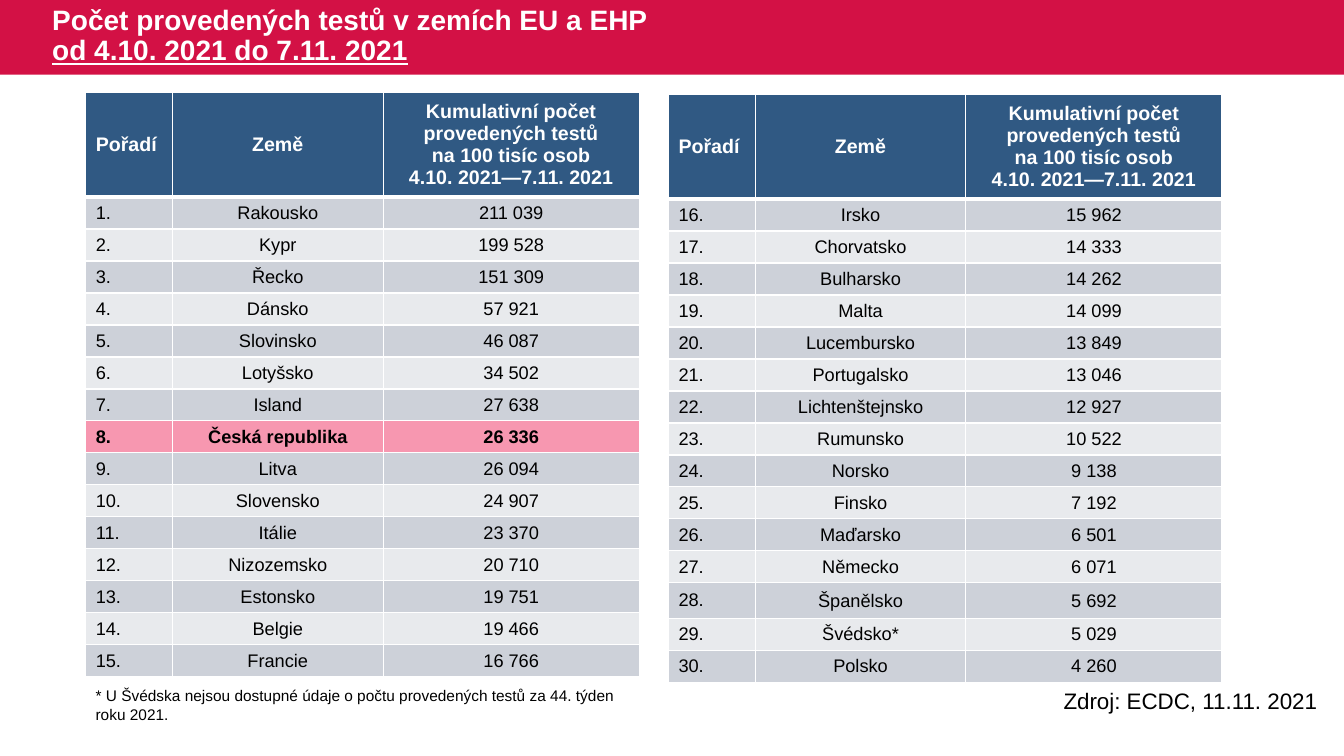
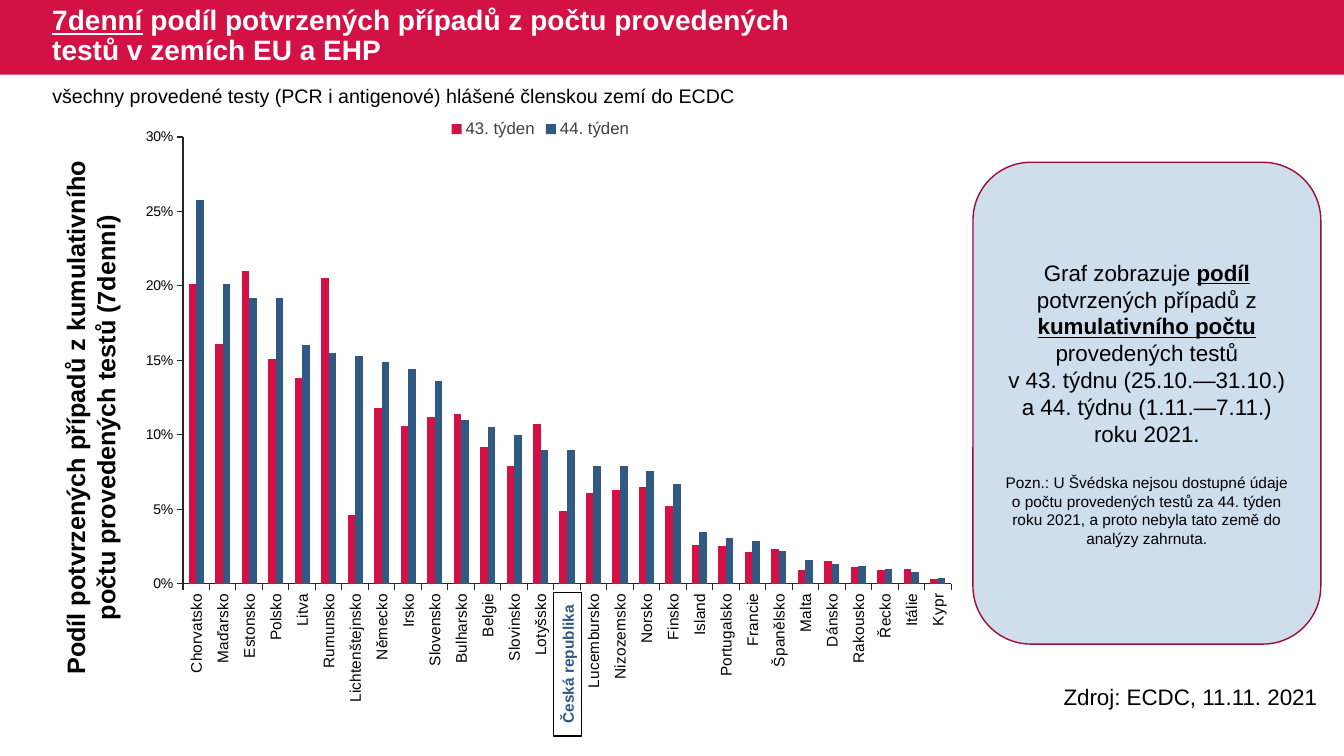
from dataclasses import dataclass

from lxml import etree
from pptx import Presentation
from pptx.chart.data import CategoryChartData
from pptx.dml.color import RGBColor
from pptx.enum.chart import XL_CHART_TYPE, XL_LEGEND_POSITION, XL_TICK_MARK
from pptx.enum.shapes import MSO_SHAPE
from pptx.enum.text import MSO_ANCHOR, PP_ALIGN
from pptx.oxml import parse_xml
from pptx.oxml.ns import nsdecls, qn
from pptx.util import Inches, Pt

FONT = "Arial"
RED = RGBColor(0xD3, 0x11, 0x45)
DARK_RED = RGBColor(0x9C, 0x0D, 0x33)
BLUE = RGBColor(0x30, 0x59, 0x83)
PALE_BLUE = RGBColor(0xCF, 0xDE, 0xED)
PINK = RGBColor(0xF7, 0x97, 0xB0)
GREY = RGBColor(0xCD, 0xD1, 0xD9)
LIGHT_GREY = RGBColor(0xE8, 0xEA, 0xED)
AXIS_GREY = RGBColor(0x26, 0x26, 0x26)
LEGEND_GREY = RGBColor(0x40, 0x40, 0x40)
BLACK = RGBColor(0, 0, 0)
WHITE = RGBColor(0xFF, 0xFF, 0xFF)

HOME_COUNTRY = "Česká republika"
SOURCE = "Zdroj: ECDC, 11.11. 2021"
HEADER_HEIGHT = 0.97
ROW_HEIGHT = 0.3
TABLE_COLUMNS = (0.86, 2.09, 2.54)


@dataclass
class Area:
    left: float
    top: float
    width: float
    height: float

    def lengths(self) -> tuple:
        return tuple(Inches(side) for side in (self.left, self.top, self.width, self.height))


@dataclass
class Span:
    text: str
    size: float = 16
    color: RGBColor = BLACK
    bold: bool = False
    underline: bool = False
    break_before: bool = False


@dataclass
class Ranking:
    area: Area
    first_rank: int
    tests: dict[str, int]
    tall_row: str = ""


RANKINGS = (
    Ranking(Area(0.85, 0.92, 5.49, 5.47), 1, {
        "Rakousko": 211039, "Kypr": 199528, "Řecko": 151309, "Dánsko": 57921,
        "Slovinsko": 46087, "Lotyšsko": 34502, "Island": 27638, HOME_COUNTRY: 26336,
        "Litva": 26094, "Slovensko": 24907, "Itálie": 23370, "Nizozemsko": 20710,
        "Estonsko": 19751, "Belgie": 19466, "Francie": 16766,
    }),
    Ranking(Area(6.63, 0.94, 5.49, 5.52), 16, {
        "Irsko": 15962, "Chorvatsko": 14333, "Bulharsko": 14262, "Malta": 14099,
        "Lucembursko": 13849, "Portugalsko": 13046, "Lichtenštejnsko": 12927,
        "Rumunsko": 10522, "Norsko": 9138, "Finsko": 7192, "Maďarsko": 6501,
        "Německo": 6071, "Španělsko": 5692, "Švédsko*": 5029, "Polsko": 4260,
    }, "Španělsko"),
)

WEEKLY_SHARES = {
    "Chorvatsko": (0.201, 0.258), "Maďarsko": (0.161, 0.201), "Estonsko": (0.21, 0.192),
    "Polsko": (0.151, 0.192), "Litva": (0.138, 0.16), "Rumunsko": (0.205, 0.155),
    "Lichtenštejnsko": (0.046, 0.153), "Německo": (0.118, 0.149), "Irsko": (0.106, 0.144),
    "Slovensko": (0.112, 0.136), "Bulharsko": (0.114, 0.11), "Belgie": (0.092, 0.105),
    "Slovinsko": (0.079, 0.1), "Lotyšsko": (0.107, 0.09), HOME_COUNTRY: (0.049, 0.09),
    "Lucembursko": (0.061, 0.079), "Nizozemsko": (0.063, 0.079), "Norsko": (0.065, 0.076),
    "Finsko": (0.052, 0.067), "Island": (0.026, 0.035), "Portugalsko": (0.025, 0.031),
    "Francie": (0.021, 0.029), "Španělsko": (0.023, 0.022), "Malta": (0.009, 0.016),
    "Dánsko": (0.015, 0.013), "Rakousko": (0.011, 0.012), "Řecko": (0.009, 0.01),
    "Itálie": (0.01, 0.008), "Kypr": (0.003, 0.004),
}


def style_font(font, size: float, color: RGBColor) -> None:
    font.name = FONT
    font.size = Pt(size)
    font.color.rgb = color


def write(frame, paragraphs: list[list[Span]], align=PP_ALIGN.LEFT) -> None:
    for index, spans in enumerate(paragraphs):
        para = frame.paragraphs[0] if index == 0 else frame.add_paragraph()
        para.alignment = align
        for span in spans:
            if span.break_before:
                para.add_line_break()
            run = para.add_run()
            run.text = span.text
            style_font(run.font, span.size, span.color)
            run.font.bold = span.bold
            run.font.underline = span.underline


def add_text(page, area: Area, spans: list[Span], align=PP_ALIGN.LEFT):
    box = page.shapes.add_textbox(*area.lengths())
    box.text_frame.word_wrap = True
    write(box.text_frame, [spans], align)
    return box


def add_box(page, shape: MSO_SHAPE, area: Area, fill: RGBColor, line: RGBColor | None = None):
    box = page.shapes.add_shape(shape, *area.lengths())
    box.shadow.inherit = False
    box.fill.solid()
    box.fill.fore_color.rgb = fill
    if line is None:
        box.line.fill.background()
    else:
        box.line.color.rgb = line
        box.line.width = Pt(1)
    box.text_frame.word_wrap = True
    box.text_frame.vertical_anchor = MSO_ANCHOR.MIDDLE
    return box


def add_page(deck, title: list[Span], source_top: float):
    page = deck.slides.add_slide(deck.slide_layouts[6])
    add_box(page, MSO_SHAPE.RECTANGLE, Area(0, 0, 13.33, 0.74), RED)
    heading = add_text(page, Area(0.42, 0, 8.16, 0.73), title)
    heading.text_frame.vertical_anchor = MSO_ANCHOR.MIDDLE
    heading.text_frame.paragraphs[0].line_spacing = 0.9
    add_text(page, Area(10.45, source_top, 2.8, 0.37), [Span(SOURCE)])
    return page


def title_span(text: str, underline: bool = False, break_before: bool = False) -> Span:
    return Span(text, 20, WHITE, True, underline, break_before)


def set_borders(cell, top: float, bottom: float) -> None:
    properties = cell._tc.get_or_add_tcPr()
    for side, width in (("L", 1), ("R", 1), ("T", top), ("B", bottom)):
        properties.append(parse_xml(
            f'<a:ln{side} {nsdecls("a")} w="{Pt(width)}"><a:solidFill>'
            f'<a:srgbClr val="{WHITE}"/></a:solidFill></a:ln{side}>'))


def fill_cell(cell, lines: list[str], fill: RGBColor, size: float, color: RGBColor,
              bold: bool, centered: bool) -> None:
    cell.fill.solid()
    cell.fill.fore_color.rgb = fill
    cell.vertical_anchor = MSO_ANCHOR.MIDDLE
    write(cell.text_frame, [[Span(line, size, color, bold)] for line in lines],
          PP_ALIGN.CENTER if centered else PP_ALIGN.LEFT)


def add_ranking(page, ranking: Ranking) -> None:
    row_count = len(ranking.tests) + 1
    table = page.shapes.add_table(row_count, 3, *ranking.area.lengths()).table
    for column, width in zip(table.columns, TABLE_COLUMNS):
        column.width = Inches(width)
    table.rows[0].height = Inches(HEADER_HEIGHT)
    headers = (["Pořadí"], ["Země"], ["Kumulativní počet provedených testů",
                                      "na 100 tisíc osob", "4.10. 2021—7.11. 2021"])
    for column, lines in enumerate(headers):
        cell = table.cell(0, column)
        set_borders(cell, 1, 3)
        fill_cell(cell, lines, BLUE, 14, WHITE, True, column > 0)
    for row, (country, tests) in enumerate(ranking.tests.items(), 1):
        table.rows[row].height = Inches(0.35 if country == ranking.tall_row else ROW_HEIGHT)
        home = country == HOME_COUNTRY
        fill = PINK if home else GREY if row % 2 else LIGHT_GREY
        rank = f"{ranking.first_rank + row - 1}."
        for column, text in enumerate((rank, country, f"{tests:,}".replace(",", " "))):
            cell = table.cell(row, column)
            set_borders(cell, 3 if row == 1 else 1, 1)
            if column:
                cell.margin_left = cell.margin_right = cell.margin_top = Inches(0.01)
                cell.margin_bottom = 0
            fill_cell(cell, [text], fill, 13, BLACK, home, column > 0)


def style_axis(axis, size: float) -> None:
    axis.has_major_gridlines = False
    axis.major_tick_mark = XL_TICK_MARK.OUTSIDE
    axis.minor_tick_mark = XL_TICK_MARK.NONE
    axis.format.line.color.rgb = AXIS_GREY
    axis.format.line.width = Pt(0.75)
    style_font(axis.tick_labels.font, size, BLACK)


def place_plot(chart, x: float, y: float, width: float, height: float) -> None:
    plot_area = chart._chartSpace.chart.plotArea
    for old in plot_area.findall(qn("c:layout")):
        plot_area.remove(old)
    layout = etree.Element(qn("c:layout"))
    manual = etree.SubElement(layout, qn("c:manualLayout"))
    settings = (("layoutTarget", "inner"), ("xMode", "edge"), ("yMode", "edge"),
                ("x", x), ("y", y), ("w", width), ("h", height))
    for name, value in settings:
        etree.SubElement(manual, qn(f"c:{name}")).set("val", str(value))
    plot_area.insert(0, layout)


def add_share_chart(page) -> None:
    data = CategoryChartData(number_format="0%")
    data.categories = list(WEEKLY_SHARES)
    for name, values in zip(("43. týden", "44. týden"), zip(*WEEKLY_SHARES.values())):
        data.add_series(name, values)
    chart = page.shapes.add_chart(XL_CHART_TYPE.COLUMN_CLUSTERED,
                                  *Area(1.16, 1.08, 8.4, 5.95).lengths(), data).chart
    style_font(chart.font, 10, LEGEND_GREY)
    chart.has_title = False
    chart.has_legend = True
    chart.legend.position = XL_LEGEND_POSITION.TOP
    chart.legend.include_in_layout = False
    style_font(chart.legend.font, 12, LEGEND_GREY)
    plot = chart.plots[0]
    plot.gap_width = 150
    plot.overlap = 0
    plot.vary_by_categories = False
    for series, color in zip(plot.series, (RED, BLUE)):
        series.format.fill.solid()
        series.format.fill.fore_color.rgb = color
        series.invert_if_negative = False
    style_axis(chart.category_axis, 11)
    body = chart.category_axis._element.find(qn("c:txPr")).find(qn("a:bodyPr"))
    body.set("rot", "-5400000")
    body.set("vert", "horz")
    style_axis(chart.value_axis, 10)
    chart.value_axis.minimum_scale = 0
    chart.value_axis.maximum_scale = 0.3
    chart.value_axis.major_unit = 0.05
    chart.value_axis.tick_labels.number_format = "0%"
    chart.value_axis.tick_labels.number_format_is_linked = False
    place_plot(chart, 0.078, 0.047, 0.907, 0.745)


def build_ranking_page(deck) -> None:
    page = add_page(deck, [title_span("Počet provedených testů v zemích EU a EHP"),
                           title_span("od 4.10. 2021 do 7.11. 2021", True, True)], 6.77)
    for ranking in RANKINGS:
        add_ranking(page, ranking)
    add_text(page, Area(0.85, 6.76, 5.48, 0.47), [Span(
        "* U Švédska nejsou dostupné údaje o počtu provedených testů "
        "za 44. týden roku 2021.", 11)])


def build_share_page(deck) -> None:
    page = add_page(deck, [title_span("7denní", True), title_span(
        " podíl potvrzených případů z počtu provedených testů v zemích EU a EHP")], 6.73)
    axis_title = add_text(page, Area(-1.81, 3.79, 5.42, 0.71), [Span(
        "Podíl potvrzených případů z kumulativního počtu provedených testů (7denní)",
        18, bold=True)], PP_ALIGN.CENTER)
    axis_title.rotation = 270
    add_share_chart(page)

    panel = add_box(page, MSO_SHAPE.ROUNDED_RECTANGLE, Area(9.65, 1.61, 3.45, 4.78),
                    PALE_BLUE, DARK_RED)
    write(panel.text_frame, [
        [Span("Graf zobrazuje "), Span("podíl", bold=True, underline=True),
         Span(" potvrzených případů z "),
         Span("kumulativního počtu", bold=True, underline=True),
         Span(" provedených testů")],
        [Span("v 43. týdnu (25.10.—31.10.)")],
        [Span("a 44. týdnu (1.11.—7.11.) roku 2021.")],
        [Span("Pozn.: U Švédska nejsou dostupné údaje o počtu provedených testů za 44. týden "
              "roku 2021, a proto nebyla tato země do analýzy zahrnuta.", 11)],
    ], PP_ALIGN.CENTER)
    panel.text_frame.paragraphs[-1].space_before = Pt(19)

    label = add_box(page, MSO_SHAPE.RECTANGLE, Area(4.92, 6.45, 1.42, 0.28), WHITE, BLACK)
    label.rotation = 270
    write(label.text_frame, [[Span(HOME_COUNTRY, 11, BLUE, True)]], PP_ALIGN.CENTER)
    add_text(page, Area(0.42, 0.78, 12.59, 0.34), [Span(
        "všechny provedené testy (PCR i antigenové) hlášené členskou zemí do ECDC", 14)])


def main() -> None:
    deck = Presentation()
    deck.slide_width = Inches(13.33)
    deck.slide_height = Inches(7.5)
    build_ranking_page(deck)
    build_share_page(deck)
    deck.save("out.pptx")


if __name__ == "__main__":
    main()
